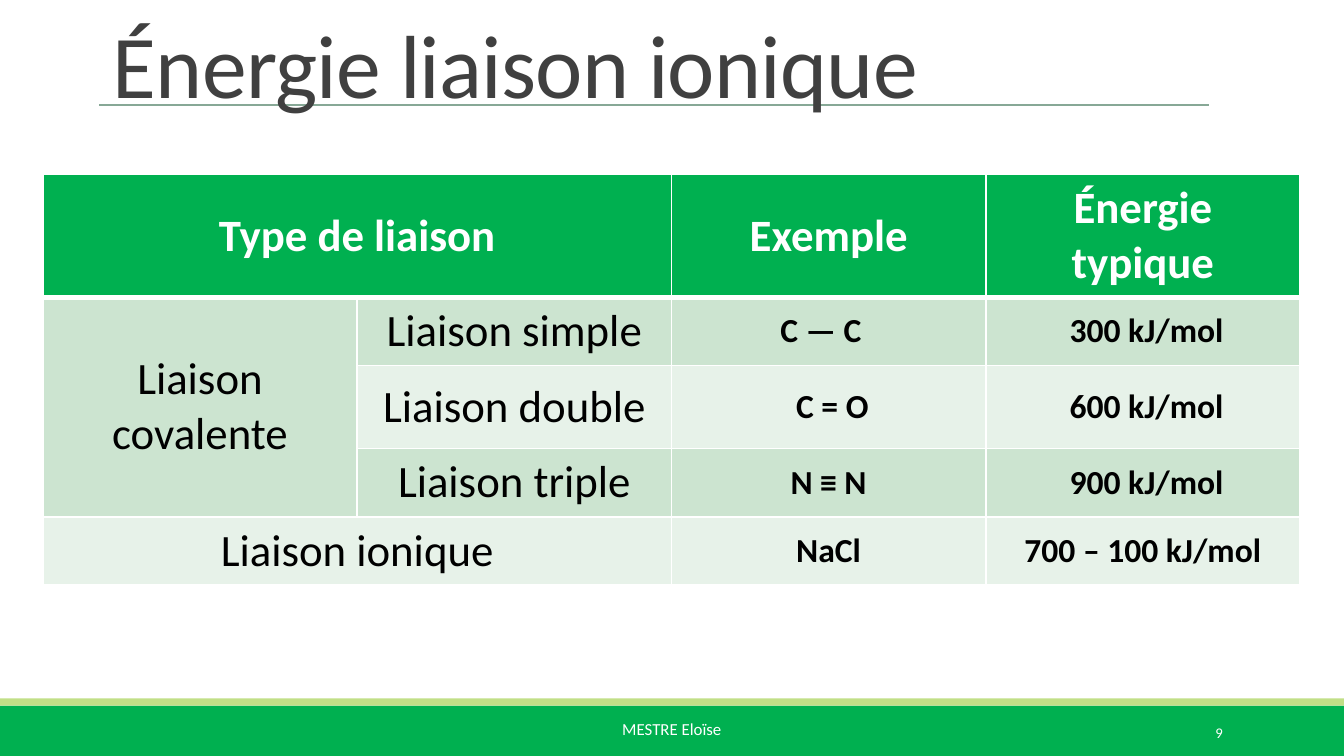
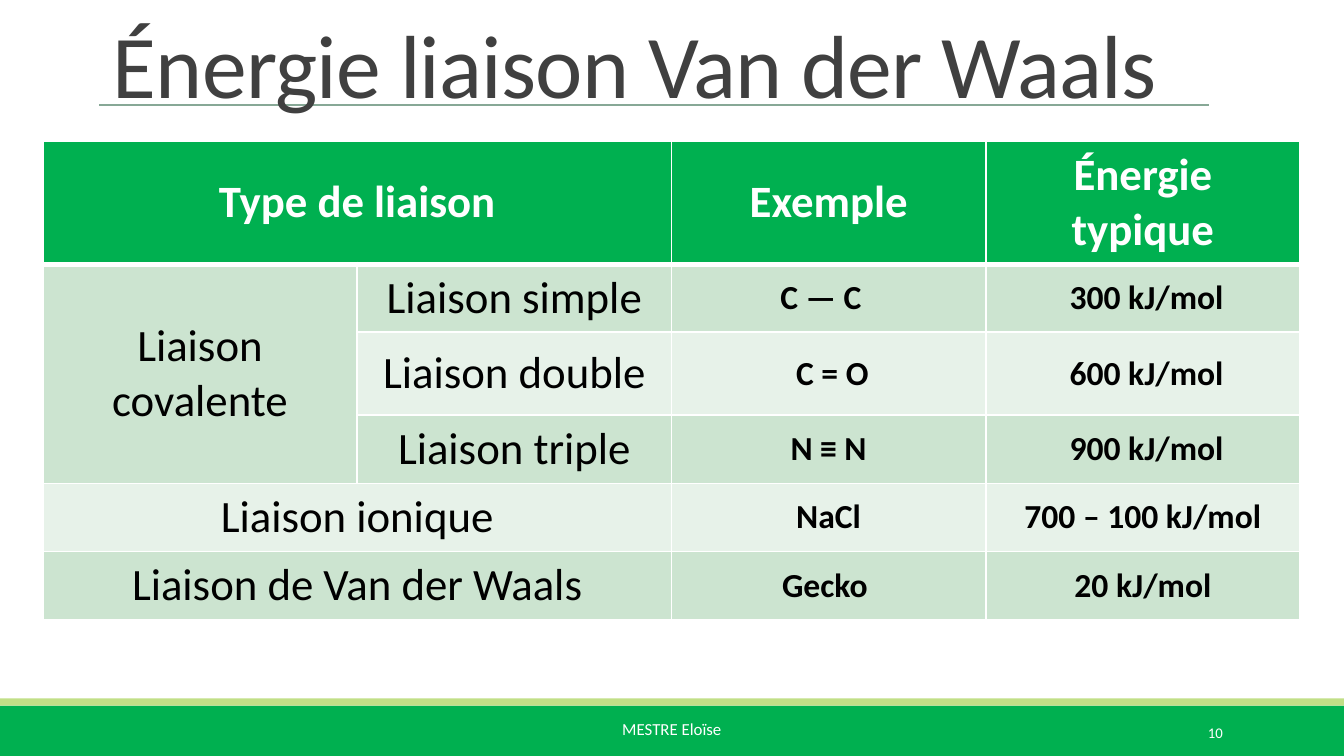
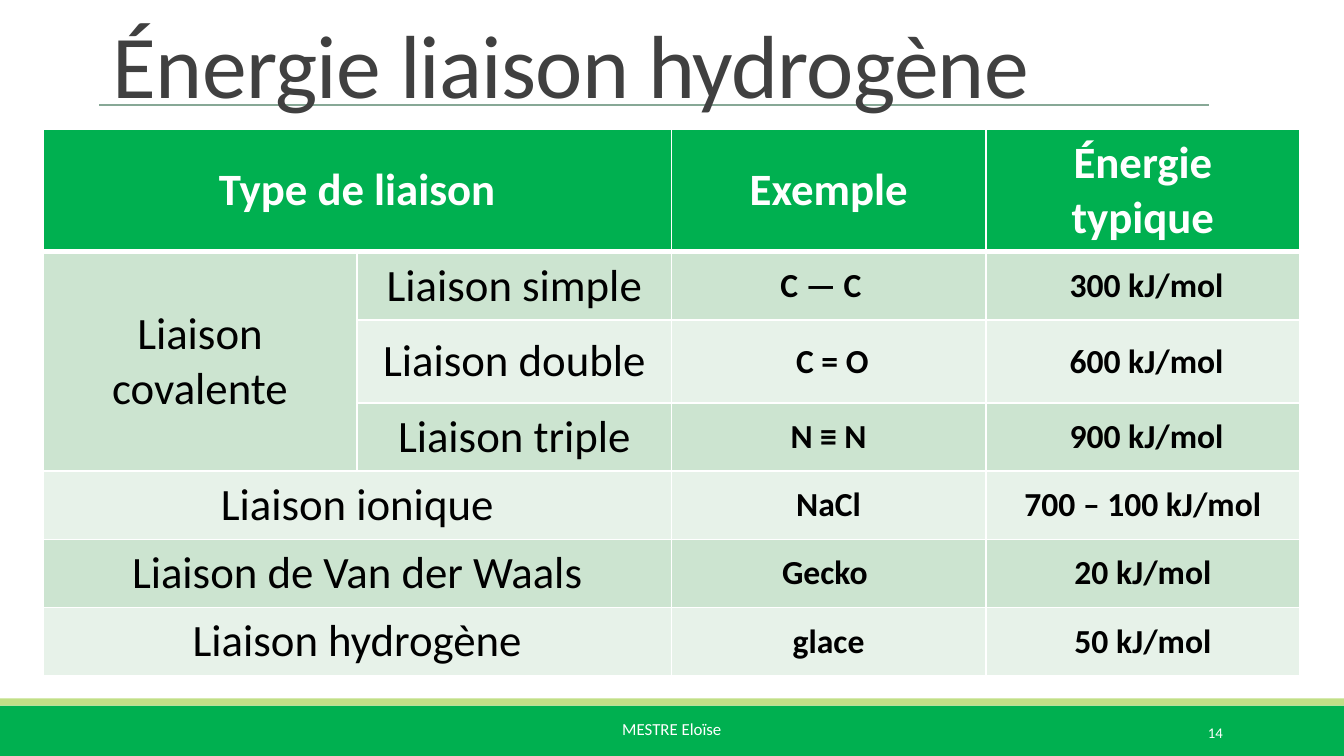
from lxml import etree
from pptx import Presentation
from pptx.dml.color import RGBColor
from pptx.enum.shapes import MSO_CONNECTOR, MSO_SHAPE
from pptx.enum.text import MSO_ANCHOR, MSO_AUTO_SIZE, PP_ALIGN
from pptx.oxml.ns import qn
from pptx.util import Cm, Pt

RECTANGLE = MSO_SHAPE.RECTANGLE
STRAIGHT = MSO_CONNECTOR.STRAIGHT
LEFT, CENTER, RIGHT = PP_ALIGN.LEFT, PP_ALIGN.CENTER, PP_ALIGN.RIGHT
TOP, MIDDLE, BOTTOM = MSO_ANCHOR.TOP, MSO_ANCHOR.MIDDLE, MSO_ANCHOR.BOTTOM
NO_AUTOSIZE, FIT_SHAPE = MSO_AUTO_SIZE.NONE, MSO_AUTO_SIZE.SHAPE_TO_FIT_TEXT

FONT = "Calibri"
COLORS = {
    "green": "00B050",
    "lime": "C1DF87",
    "rule": "87A896",
    "title": "404040",
    "white": "FFFFFF",
    "black": "000000",
    "band_dark": "CCE4D0",
    "band_light": "E7F2E9",
}
SLIDE_WIDTH, SLIDE_HEIGHT = 25.4, 14.29
TITLE_LEFT, TITLE_WIDTH = 1.88, 20.96
TABLE_LEFT, COLUMN_WIDTH, COLUMN_COUNT = 0.81, 5.94, 4
HEADER_HEIGHT, ROW_HEIGHT, DOUBLE_BOND_HEIGHT = 2.29, 1.27, 1.57
DOUBLE_BOND_ROW, LAST_COVALENT_ROW = 2, 3
CELL_MARGIN = 0.25

BOND_ROWS = [
    ("Type de liaison", "", "Exemple", "Énergie typique"),
    ("Liaison covalente", "Liaison simple", "C — C", "300 kJ/mol"),
    ("", "Liaison double", "C = O", "600 kJ/mol"),
    ("", "Liaison triple", "N ≡ N", "900 kJ/mol"),
    ("Liaison ionique", "", "NaCl", "700 – 100 kJ/mol"),
    ("Liaison de Van der Waals", "", "Gecko", "20 kJ/mol"),
    ("Liaison hydrogène", "", "glace", "50 kJ/mol"),
]
NUDGES = {
    "C — C": -0.29,
    "C = O": 0.14,
    "Gecko": -0.14,
    "300 kJ/mol": 0.14,
    "600 kJ/mol": 0.14,
    "900 kJ/mol": 0.14,
}
PAGES = [
    ("Énergie liaison ionique", 9, 3.3, 5),
    ("Énergie liaison Van der Waals", 10, 2.67, 6),
    ("Énergie liaison hydrogène", 14, 2.44, 7),
]


def rgb(name):
    return RGBColor.from_string(COLORS[name])


def write(frame, text, size, color, align=LEFT, bold=False):
    frame.text = text
    para = frame.paragraphs[0]
    para.alignment = align
    font = para.runs[0].font
    font.name = FONT
    font.size = Pt(size)
    font.bold = bold
    font.color.rgb = rgb(color)
    return para


def add_band(page, top, height, color):
    band = page.shapes.add_shape(
        RECTANGLE, Cm(0), Cm(top), Cm(SLIDE_WIDTH), Cm(height))
    band.shadow.inherit = False
    band.fill.solid()
    band.fill.fore_color.rgb = rgb(color)
    band.line.fill.background()


def add_title_rule(page):
    rule = page.shapes.add_connector(
        STRAIGHT, Cm(TITLE_LEFT), Cm(1.98), Cm(TITLE_LEFT + TITLE_WIDTH), Cm(1.98))
    rule.line.color.rgb = rgb("rule")
    rule.line.width = Pt(1)
    etree.SubElement(rule.element.spPr, qn("a:effectLst"))


def add_footer_text(page, text, left, width, height, size, align, anchor, wrap):
    box = page.shapes.add_textbox(Cm(left), Cm(13.46), Cm(width), Cm(height))
    frame = box.text_frame
    frame.word_wrap = wrap
    frame.auto_size = NO_AUTOSIZE if wrap else FIT_SHAPE
    frame.vertical_anchor = anchor
    write(frame, text, size, "white", align)


def set_title(page, text):
    title = page.shapes.title
    title.left, title.top = Cm(TITLE_LEFT), Cm(0.41)
    title.width, title.height = Cm(TITLE_WIDTH), Cm(1.93)
    frame = title.text_frame
    frame.word_wrap = True
    frame.auto_size = NO_AUTOSIZE
    frame.vertical_anchor = BOTTOM
    para = write(frame, text, 48, "title")
    para.line_spacing = 0.85
    para.runs[0].font._element.set("spc", "-40")
    title.element.getparent().append(title.element)


def set_borders(cell, widths):
    properties = cell._tc.get_or_add_tcPr()
    for side, width in widths.items():
        line = etree.SubElement(properties, qn(f"a:ln{side}"), w=str(Pt(width)))
        fill = etree.SubElement(line, qn("a:solidFill"))
        etree.SubElement(fill, qn("a:srgbClr"), val=COLORS["white"])


def format_cell(cell, text, row, column):
    header = row == 0
    set_borders(cell, {"L": 1, "R": 1, "T": 3 if row == 1 else 1, "B": 3 if header else 1})
    cell.fill.solid()
    band = "band_dark" if row % 2 else "band_light"
    cell.fill.fore_color.rgb = rgb("green" if header else band)
    cell.vertical_anchor = MIDDLE
    if text:
        value = not header and column >= 2
        write(cell.text_frame, text, 18 if value else 24,
              "white" if header else "black", CENTER, header or value)
        nudge = NUDGES.get(text, 0)
        cell.margin_left = Cm(CELL_MARGIN + max(nudge, 0))
        cell.margin_right = Cm(CELL_MARGIN + max(-nudge, 0))


def add_bond_table(page, top, row_count):
    heights = [HEADER_HEIGHT] + [ROW_HEIGHT] * (row_count - 1)
    heights[DOUBLE_BOND_ROW] = DOUBLE_BOND_HEIGHT
    table = page.shapes.add_table(
        row_count, COLUMN_COUNT, Cm(TABLE_LEFT), Cm(top),
        Cm(COLUMN_WIDTH * COLUMN_COUNT), Cm(sum(heights))).table
    table.first_row = False
    table.horz_banding = False
    for column in table.columns:
        column.width = Cm(COLUMN_WIDTH)
    for row, height in enumerate(heights):
        table.rows[row].height = Cm(height)
        for column, text in enumerate(BOND_ROWS[row]):
            format_cell(table.cell(row, column), text, row, column)
        if row == 0 or row > LAST_COVALENT_ROW:
            table.cell(row, 0).merge(table.cell(row, 1))
    table.cell(1, 0).merge(table.cell(LAST_COVALENT_ROW, 0))


def add_page(deck, title, number):
    page = deck.slides.add_slide(deck.slide_layouts[5])
    add_band(page, 13.34, 0.95, "green")
    add_band(page, 13.2, 0.14, "lime")
    add_title_rule(page)
    add_footer_text(page, "MESTRE Eloïse", 11.51, 2.39, 1.14, 9, LEFT, TOP, False)
    add_footer_text(page, str(number), 20.62, 2.74, 0.76, 7.9, RIGHT, MIDDLE, True)
    set_title(page, title)
    return page


def main():
    deck = Presentation()
    deck.slide_width, deck.slide_height = Cm(SLIDE_WIDTH), Cm(SLIDE_HEIGHT)
    for title, number, table_top, row_count in PAGES:
        page = add_page(deck, title, number)
        add_bond_table(page, table_top, row_count)
    deck.save("out.pptx")


if __name__ == "__main__":
    main()
